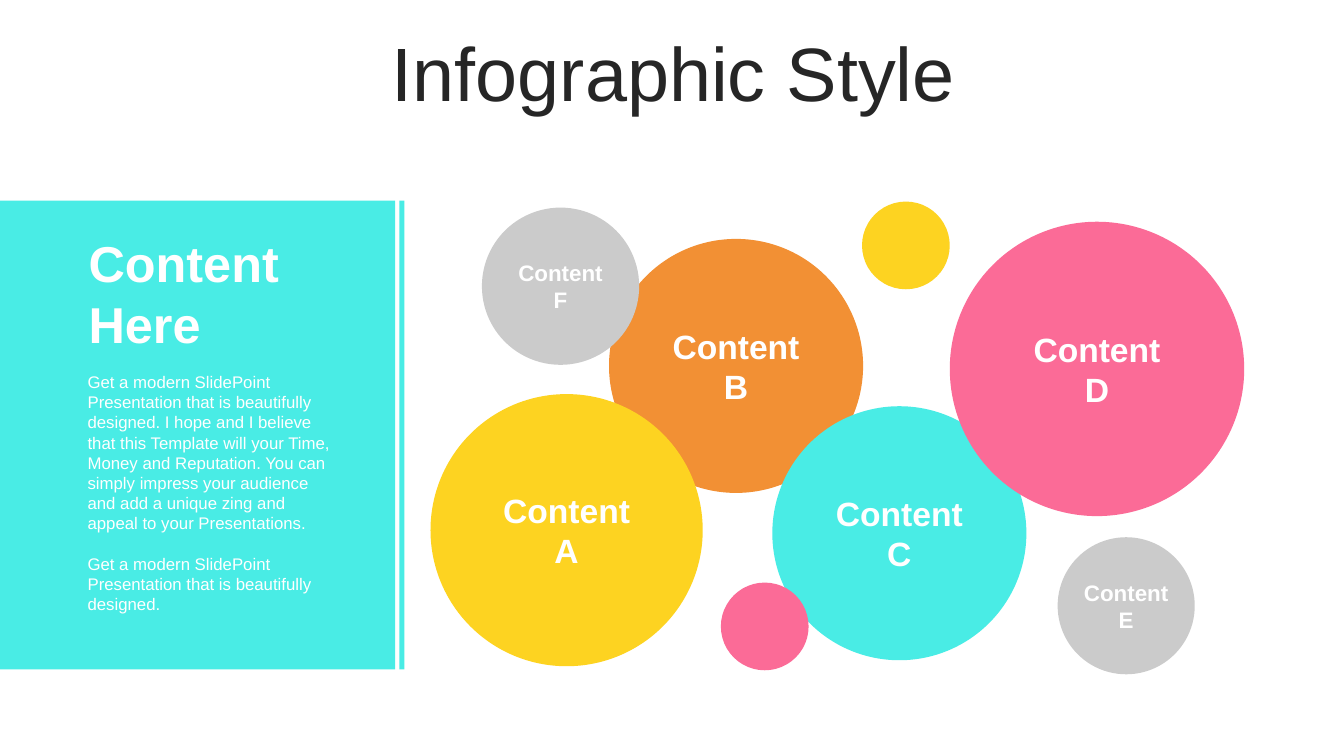
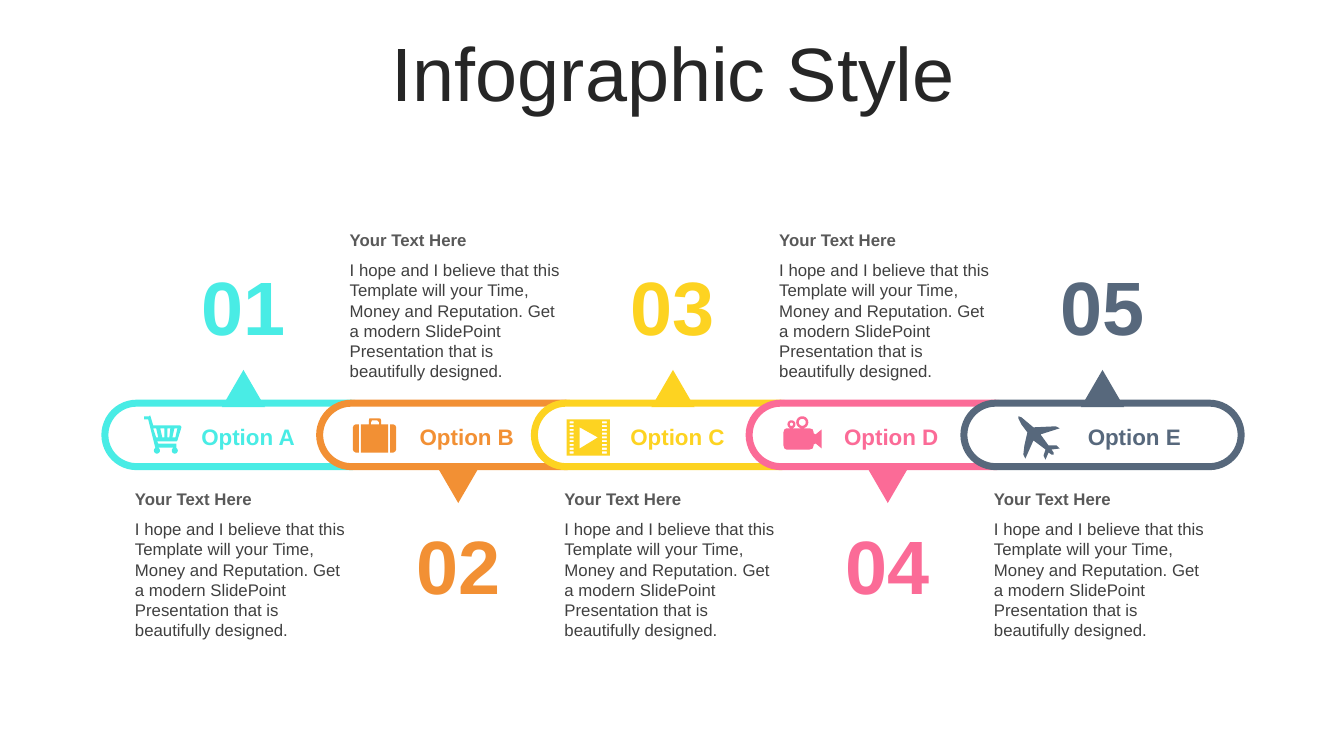
from dataclasses import dataclass
from math import cos, sin, tau

from pptx import Presentation
from pptx.dml.color import RGBColor
from pptx.enum.shapes import MSO_SHAPE
from pptx.enum.text import MSO_ANCHOR, PP_ALIGN
from pptx.util import Inches, Pt

HUES = {
    "aqua": "49ECE5", "orange": "F29034", "yellow": "FDD321", "pink": "FB6B97",
    "slate": "57687C", "silver": "CBCBCB", "white": "FFFFFF",
    "title": "262626", "head": "595959", "body": "404040",
}
FONT = "Arial"
LEADING = 1.2
TITLE = "Infographic Style"
PITCH = 2.13
HEAD = "Your Text Here"
BODY = ("I hope and I believe that this Template will your Time, Money and Reputation. "
        "Get a modern SlidePoint Presentation that is beautifully designed.")
INTRO = [
    "Get a modern SlidePoint Presentation that is beautifully designed. "
    "I hope and I believe that this Template will your Time, Money and Reputation. "
    "You can simply impress your audience and add a unique zing and appeal "
    "to your Presentations.",
    "Get a modern SlidePoint Presentation that is beautifully designed.",
]

Points = list[tuple[float, float]]


@dataclass
class Bubble:
    left: float
    top: float
    size: float
    hue: str
    mark: str = ""
    text: int = 24


@dataclass
class Option:
    name: str
    hue: str
    label: float  # middle of the label, from the left of the pill
    icon: list[Points]


def color(hue: str) -> RGBColor:
    return RGBColor.from_string(HUES[hue])


def write(shape, lines: list[str], size: int, hue: str, bold: bool = False,
          align=PP_ALIGN.LEFT, spacing=None, gap: float = 0, **frame) -> None:
    """Fill a shape with paragraphs; extra values go to its text frame."""
    box = shape.text_frame
    for key, value in ({"word_wrap": True} | frame).items():
        setattr(box, key, value)
    style = {"name": FONT, "size": Pt(size), "bold": bold}
    for row, line in enumerate(lines):
        para = box.paragraphs[0] if row == 0 else box.add_paragraph()
        para.text = line
        para.alignment = align
        para.line_spacing = spacing or Pt(size * LEADING)
        if row and gap:
            para.space_before = Pt(gap)
        for key, value in style.items():
            setattr(para.font, key, value)
        para.font.color.rgb = color(hue)


def add_text(slide, left: float, top: float, width: float, height: float,
             lines: list[str], size: int, hue: str, **form) -> None:
    box = slide.shapes.add_textbox(Inches(left), Inches(top), Inches(width), Inches(height))
    write(box, lines, size, hue, **form)


def paint(shape, hue: str) -> None:
    shape.shadow.inherit = False
    shape.fill.solid()
    shape.fill.fore_color.rgb = color(hue)
    shape.line.fill.background()


def add_shape(slide, kind, left: float, top: float, width: float, height: float, hue: str):
    shape = slide.shapes.add_shape(
        kind, Inches(left), Inches(top), Inches(width), Inches(height))
    paint(shape, hue)
    return shape


def ring(x: float, y: float, radius: float, count: int = 24) -> Points:
    return [(x + radius * cos(tau * i / count), y + radius * sin(tau * i / count))
            for i in range(count)]


def rect(left: float, top: float, right: float, bottom: float) -> Points:
    return [(left, top), (right, top), (right, bottom), (left, bottom)]


def add_icon(slide, loops: list[Points], hue: str) -> None:
    """Draw closed loops, given in hundredths of an inch, as one outline."""
    scaled = [[(Inches(x / 100), Inches(y / 100)) for x, y in loop] for loop in loops]
    pen = slide.shapes.build_freeform(*scaled[0][0])
    for row, loop in enumerate(scaled):
        if row:
            pen.move_to(*loop[0])
        pen.add_line_segments(loop[1:], close=True)
    paint(pen.convert_to_shape(), hue)


CART = [
    [(149, 412), (152, 422), (178, 422), (179.5, 422.5), (180, 424), (176, 437),
     (175, 438), (156, 438), (157, 440), (175, 440), (175, 444), (154, 444),
     (147, 416), (143, 416), (143, 413), (148, 413)],
    [(173, 425), (171, 434), (174, 434), (176, 425)],
    [(166, 425), (166, 434), (168, 434), (169, 425)],
    [(159, 425), (161, 434), (163, 434), (163, 425)],
    [(152, 425), (155, 434), (157, 434), (155, 425)],
    ring(155.7, 447, 3), ring(173.4, 447, 3),
]
CASE = [
    [(387, 421), (390, 421), (392, 422), (393, 424), (393, 446), (392, 448),
     (390, 449), (387, 449)],
    [(356, 421), (353, 421), (351, 422), (350, 424), (350, 446), (351, 448),
     (353, 449), (356, 449)],
    [(367, 415), (376, 415), (377.5, 415.5), (378, 417), (378, 421), (385, 421),
     (385, 449), (358, 449), (358, 421), (366, 421), (366, 417), (366.2, 415.5)],
    [(369, 417), (368, 419), (368, 421), (376, 421), (376, 419), (374, 417)],
]
FILM = [rect(562, 416, 605, 452), [(575, 424), (575, 445), (593, 434)]] + [
    rect(left, 418 + 3.75 * row, right, 420 + 3.75 * row)
    for row in range(9) for left, right in ((565, 569), (597, 602))
]
CAMERA = [
    [(780, 425), (803, 425), (806, 426), (807, 429), (807, 430), (809, 431),
     (815, 426), (815, 445), (809, 440), (807, 441), (807, 442), (806, 445),
     (803, 446), (780, 446), (778, 445), (777, 442), (777, 429), (778, 426)],
    ring(785, 421, 4), ring(785, 421, 1.7),
    ring(795.7, 419, 6), ring(795.7, 419, 3.5),
]
PLANE = [[
    (1051, 445), (1043, 446), (1045, 449), (1045, 451), (1043, 451), (1040, 449),
    (1037, 456), (1035, 452), (1037, 446), (1025, 437), (1017, 455), (1015, 451),
    (1016, 442), (1019, 429), (1013, 421), (1010, 415), (1010, 413), (1013, 414),
    (1025, 424), (1047, 423), (1051, 425), (1032, 431), (1040, 442), (1048, 442),
]]

BUBBLES = [
    Bubble(6.04, 2.37, 2.52, "orange", "B"),
    Bubble(4.27, 3.91, 2.7, "yellow", "A"),
    Bubble(7.66, 4.03, 2.52, "aqua", "C"),
    Bubble(9.42, 2.2, 2.92, "pink", "D"),
    Bubble(10.49, 5.33, 1.36, "silver", "E", 16),
    Bubble(4.78, 2.06, 1.56, "silver", "F", 16),
    Bubble(8.55, 2, 0.87, "yellow"),
    Bubble(7.15, 5.78, 0.87, "pink"),
]
OPTIONS = [
    Option("Option A", "aqua", 1.42, CART),
    Option("Option B", "orange", 1.46, CASE),
    Option("Option C", "yellow", 1.42, FILM),
    Option("Option D", "pink", 1.41, CAMERA),
    Option("Option E", "slate", 1.69, PLANE),
]


def add_slide(deck):
    slide = deck.slides.add_slide(deck.slide_layouts[6])
    add_text(slide, 0.35, 0.37, 12.66, 0.79, [TITLE], 54, "title",
             align=PP_ALIGN.CENTER, spacing=0.9, vertical_anchor=MSO_ANCHOR.MIDDLE)
    return slide


def add_bubble(slide, item: Bubble) -> None:
    disc = add_shape(slide, MSO_SHAPE.OVAL, item.left, item.top, item.size, item.size, item.hue)
    if item.mark:
        write(disc, ["Content", item.mark], item.text, "white", bold=True,
              align=PP_ALIGN.CENTER, vertical_anchor=MSO_ANCHOR.MIDDLE,
              margin_left=0, margin_right=0)


def add_option(slide, index: int, item: Option) -> None:
    """Draw one pill; number and text swap sides from one pill to the next."""
    left = 1.04 + PITCH * index
    rising = index % 2 == 0
    high, low = 2.53, 5.1
    pill = add_shape(slide, MSO_SHAPE.ROUNDED_RECTANGLE, left, 4, 2.75, 0.63, "white")
    pill.adjustments[0] = 0.5
    pill.line.color.rgb = color(item.hue)
    pill.line.width = Pt(5)
    arrow = add_shape(slide, MSO_SHAPE.ISOSCELES_TRIANGLE, left + 1.16,
                      3.67 if rising else 4.62, 0.43, 0.37, item.hue)
    arrow.rotation = 0 if rising else 180
    bright = {"hue": item.hue, "bold": True, "align": PP_ALIGN.CENTER}
    add_text(slide, left + item.label - 0.66, 4.15, 1.32, 0.37, [item.name], 16, **bright)
    add_text(slide, left + 0.82, high if rising else low, 1.11, 1.01,
             [f"{index + 1:02}"], 54, **bright)
    top = low if rising else high
    add_text(slide, left + 0.2, top - 0.3, 2.33, 0.3, [HEAD], 12, "head", bold=True)
    add_text(slide, left + 0.2, top, 2.35, 1.31, [BODY], 12, "body")
    add_icon(slide, item.icon, item.hue)


def main() -> None:
    deck = Presentation()
    deck.slide_width, deck.slide_height = Inches(13.33), Inches(7.5)

    slide = add_slide(deck)
    for left, width in ((0, 3.92), (3.96, 0.05)):
        add_shape(slide, MSO_SHAPE.RECTANGLE, left, 1.99, width, 4.65, "aqua")
    for bubble in BUBBLES:
        add_bubble(slide, bubble)
    add_text(slide, 0.78, 2.25, 2.69, 1.31, ["Content Here"], 36, "white", bold=True,
             vertical_anchor=MSO_ANCHOR.MIDDLE)
    add_text(slide, 0.77, 3.64, 2.69, 2.52, INTRO, 12, "white", gap=14.4)

    slide = add_slide(deck)
    for index, option in enumerate(OPTIONS):
        add_option(slide, index, option)

    deck.save("out.pptx")


if __name__ == "__main__":
    main()
